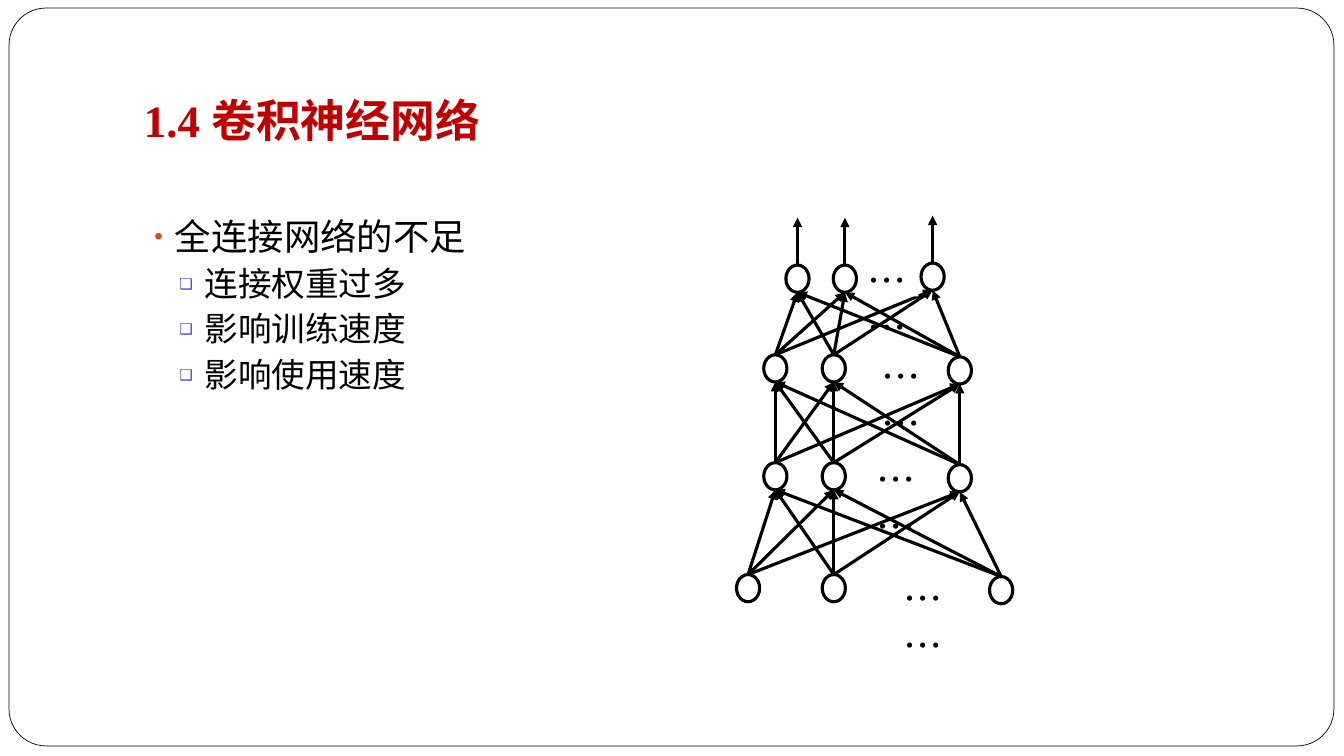
from dataclasses import dataclass
from itertools import product

from lxml import etree
from pptx import Presentation
from pptx.dml.color import RGBColor
from pptx.enum.shapes import MSO_CONNECTOR, MSO_SHAPE
from pptx.enum.text import MSO_ANCHOR, PP_ALIGN
from pptx.oxml.ns import qn
from pptx.util import Inches, Pt

STRAIGHT = MSO_CONNECTOR.STRAIGHT
OVAL, RECT, ROUND = MSO_SHAPE.OVAL, MSO_SHAPE.RECTANGLE, MSO_SHAPE.ROUNDED_RECTANGLE
TOP, BOTTOM = MSO_ANCHOR.TOP, MSO_ANCHOR.BOTTOM
LEFT, JUSTIFY = PP_ALIGN.LEFT, PP_ALIGN.JUSTIFY


@dataclass(frozen=True)
class Theme:
    black: str = "000000"
    white: str = "FFFFFF"
    red: str = "C00000"
    orange: str = "D34817"
    violet: str = "503DDB"
    latin: str = "Times New Roman"
    asian: str = "Noto Sans CJK SC"
    title: float = 32
    head: float = 26
    item: float = 24
    dots: float = 28
    thin: float = 0.5
    thick: float = 2.25


@dataclass(frozen=True)
class Node:
    x: float
    top: float
    wide: float = 0.23
    high: float = 0.27

    @property
    def base(self) -> float:
        return self.top + self.high


@dataclass(frozen=True)
class Gap:
    x: float
    y: float
    wide: float


@dataclass(frozen=True)
class Point:
    text: str
    level: int
    size: float
    mark: str
    color: str
    scale: int
    left: float
    hang: float
    before: float


THEME = Theme()
LATE = Node(8.38, 2.63)
LAYERS = [
    [Node(7.91, 2.63), Node(9.25, 2.61)],
    [Node(7.69, 3.52), Node(8.27, 3.52), Node(9.52, 3.54)],
    [Node(7.69, 4.59), Node(8.27, 4.59), Node(9.52, 4.61)],
    [Node(7.42, 5.7), Node(8.27, 5.7), Node(9.93, 5.72)],
]
GAPS = [Gap(8.86, 5.65, 0.68), Gap(8.6, 4.47, 0.56), Gap(8.51, 2.49, 0.6), Gap(8.64, 3.45, 0.56)]
ITEMS = ["连接权重过多", "影响训练速度", "影响使用速度"]
POINTS = [Point("全连接网络的不足", 0, THEME.head, "•", THEME.orange, 85, 0.3, 0.3, 0)] + [
    Point(text, 1, THEME.item, "❑", THEME.violet, 45, 0.6, 0.25, 3.7) for text in ITEMS
]


def paint(shape, fill: str | None, width: float) -> None:
    """Set the fill and outline of a shape; a width of zero means no outline."""
    shape.shadow.inherit = False
    if fill:
        shape.fill.solid()
        shape.fill.fore_color.rgb = RGBColor.from_string(fill)
    else:
        shape.fill.background()
    if width:
        shape.line.color.rgb = RGBColor.from_string(THEME.black)
        shape.line.width = Pt(width)
    else:
        shape.line.fill.background()


def style(para, size: float, color: str, face: str, align, bold: bool = False) -> None:
    """Give a paragraph its font and alignment."""
    para.alignment = align
    font = para.font
    font.size, font.bold, font.name = Pt(size), bold, face
    font.color.rgb = RGBColor.from_string(color)
    props = para._p.pPr.find(qn("a:defRPr"))
    etree.SubElement(props, qn("a:ea")).set("typeface", THEME.asian)


def mark(para, point: Point) -> None:
    """Add a coloured bullet with a hanging indent."""
    para.level = point.level
    para.space_before = Pt(point.before)
    props = para._p.get_or_add_pPr()
    props.set("marL", str(Inches(point.left)))
    props.set("indent", str(-Inches(point.hang)))
    tint = etree.SubElement(props, qn("a:buClr"))
    etree.SubElement(tint, qn("a:srgbClr")).set("val", point.color)
    etree.SubElement(props, qn("a:buSzPct")).set("val", str(point.scale * 1000))
    etree.SubElement(props, qn("a:buFont")).set("typeface", THEME.asian)
    etree.SubElement(props, qn("a:buChar")).set("char", point.mark)


def arrow(shapes, x: float, y: float, end_x: float, end_y: float) -> None:
    """Draw a black line with an arrowhead at its end."""
    line = shapes.add_connector(STRAIGHT, Inches(x), Inches(y), Inches(end_x), Inches(end_y))
    line.line.color.rgb = RGBColor.from_string(THEME.black)
    line.line.width = Pt(THEME.thick)
    props = line._element.spPr
    etree.SubElement(props.find(qn("a:ln")), qn("a:tailEnd")).set("type", "triangle")
    etree.SubElement(props, qn("a:effectLst"))


def neuron(shapes, node: Node) -> None:
    """Draw one hollow neuron."""
    left = node.x - node.wide / 2
    oval = shapes.add_shape(OVAL, Inches(left), Inches(node.top), Inches(node.wide), Inches(node.high))
    paint(oval, None, THEME.thick)


def link(shapes, lower: list[Node], upper: list[Node]) -> None:
    """Join every lower neuron to every upper one."""
    for low, high in product(lower, upper):
        arrow(shapes, low.x, low.top, high.x, high.base)


def output(shapes, node: Node) -> None:
    """Draw the arrow that leaves the network from a neuron."""
    arrow(shapes, node.x, node.top, node.x, node.top - 0.47)


def dots(shapes, gap: Gap) -> None:
    """Draw a white box with wrapped ellipsis dots."""
    box = shapes.add_shape(RECT, Inches(gap.x), Inches(gap.y), Inches(gap.wide), Inches(0.45))
    paint(box, THEME.white, 0)
    frame = box.text_frame
    frame.word_wrap, frame.vertical_anchor = True, TOP
    frame.text = "……"
    style(frame.paragraphs[0], THEME.dots, THEME.black, THEME.asian, JUSTIFY)


def panel(shapes, y: float, high: float, anchor):
    """Add a wrapped text box and return its frame."""
    frame = shapes.add_textbox(Inches(1.33), Inches(y), Inches(11.33), Inches(high)).text_frame
    frame.word_wrap, frame.vertical_anchor = True, anchor
    return frame


def main() -> None:
    """Build the slide and save it."""
    deck = Presentation()
    deck.slide_width, deck.slide_height = Inches(13.33), Inches(7.5)
    shapes = deck.slides.add_slide(deck.slide_layouts[6]).shapes

    border = shapes.add_shape(ROUND, Inches(0.09), Inches(0.08), Inches(13.14), Inches(7.32))
    border.adjustments[0] = 0.05
    paint(border, THEME.white, THEME.thin)

    title = panel(shapes, 0.3, 1.25, BOTTOM)
    title.margin_bottom = Inches(0.1)
    title.text = "1.4 卷积神经网络"
    style(title.paragraphs[0], THEME.title, THEME.red, THEME.latin, LEFT, True)

    for upper, lower in zip(LAYERS, LAYERS[1:]):
        link(shapes, lower, upper)
    for node in LAYERS[0]:
        output(shapes, node)
    for layer in LAYERS:
        for node in layer:
            neuron(shapes, node)
    for gap in GAPS:
        dots(shapes, gap)
    output(shapes, LATE)
    neuron(shapes, LATE)
    link(shapes, LAYERS[1], [LATE])

    body = panel(shapes, 2.07, 4.51, TOP)
    for index, point in enumerate(POINTS):
        para = body.add_paragraph() if index else body.paragraphs[0]
        para.text = point.text
        mark(para, point)
        style(para, point.size, THEME.black, THEME.latin, LEFT)

    deck.save("out.pptx")


if __name__ == "__main__":
    main()
